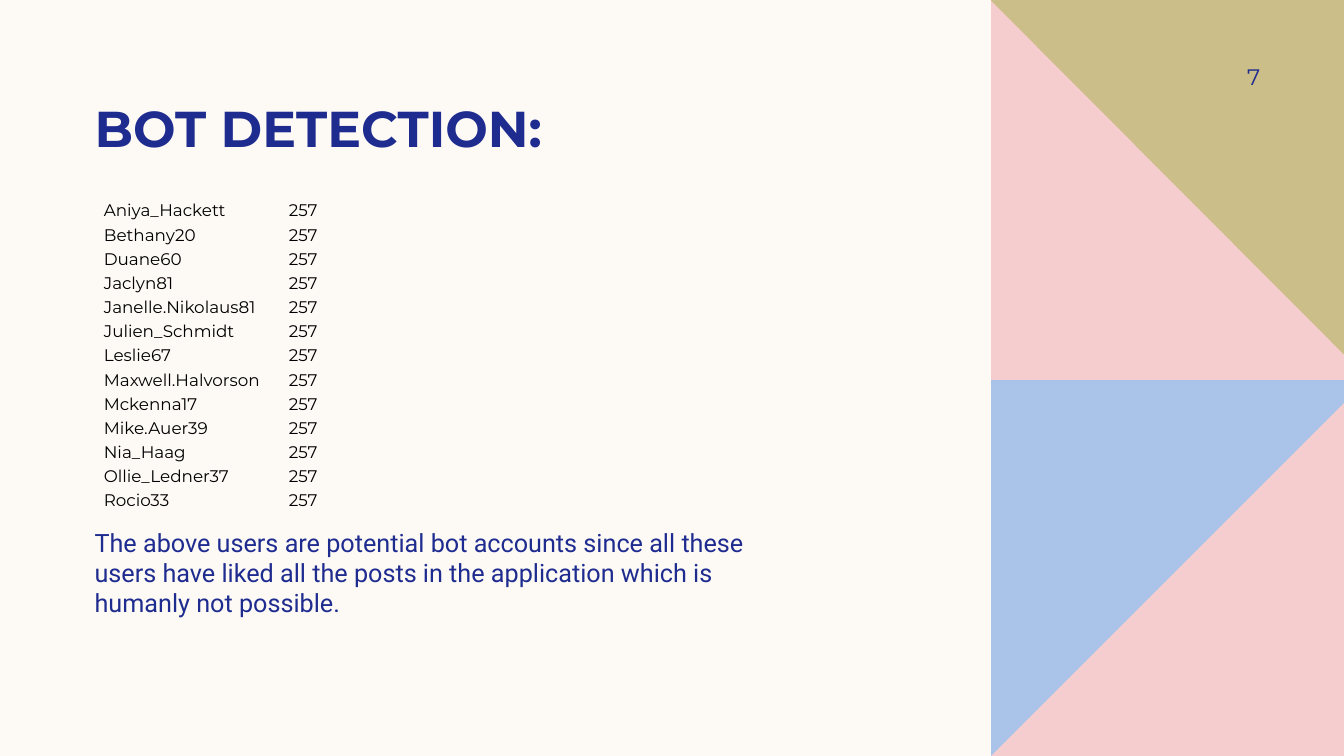
from pptx import Presentation, util as u
from pptx.dml.color import RGBColor
from pptx.enum import text

USERS = [
    "Aniya_Hackett", "Bethany20", "Duane60", "Jaclyn81", "Janelle.Nikolaus81",
    "Julien_Schmidt", "Leslie67", "Maxwell.Halvorson", "Mckenna17",
    "Mike.Auer39", "Nia_Haag", "Ollie_Ledner37", "Rocio33",
]
LIKES = "257"
NAVY, BLACK, CREAM = "1F2C8F", "000000", "FDFAF6"
BLUE, PINK, OLIVE = "AAC3E8", "F5CDCE", "CCBE89"
NO_GRID = "{2D5ABB26-0587-4C30-8999-92F81FD0307C}"
WIDE, HIGH = 13.33, 7.5
SIDE = 9.83  # left edge of the coloured panel


def color(code):
    return RGBColor.from_string(code)


class Deck:
    font = "Montserrat"
    ink = NAVY

    def __init__(self):
        self.prs = Presentation()
        self.prs.slide_width = u.Inches(WIDE)
        self.prs.slide_height = u.Inches(HIGH)

    def page(self, back):
        self.slide = self.prs.slides.add_slide(self.prs.slide_layouts[6])
        fill = self.slide.background.fill
        fill.solid()
        fill.fore_color.rgb = color(back)

    def shape(self, points, code):
        """Draw a filled polygon through points given in inches."""
        spots = [(u.Inches(x), u.Inches(y)) for x, y in points]
        pen = self.slide.shapes.build_freeform(*spots[0])
        pen.add_line_segments(spots[1:], close=True)
        form = pen.convert_to_shape()
        form.shadow.inherit = False
        form.fill.solid()
        form.fill.fore_color.rgb = color(code)
        form.line.fill.background()

    def add_text(self, para, words, size, ink=None, font=None, bold=False):
        run = para.add_run()
        run.text = words
        run.font.size = u.Pt(size)
        run.font.name = font or self.font
        run.font.bold = bold
        run.font.color.rgb = color(ink or self.ink)

    def label(self, box, words, size, anchor="TOP", align="LEFT",
              inset=(0.1, 0.05, 0.1, 0.05), **style):
        area = self.slide.shapes.add_textbox(*map(u.Inches, box))
        frame = area.text_frame
        frame.word_wrap = True
        frame.vertical_anchor = text.MSO_ANCHOR[anchor]
        (frame.margin_left, frame.margin_top,
         frame.margin_right, frame.margin_bottom) = map(u.Inches, inset)
        para = frame.paragraphs[0]
        para.alignment = text.PP_ALIGN[align]
        self.add_text(para, words, size, **style)

    def table(self, box, rows, size, ink):
        frame = self.slide.shapes.add_table(
            len(rows), len(rows[0]), *map(u.Inches, box))
        grid = frame.table
        grid.first_row = grid.horz_banding = False
        grid._tbl.tblPr.find("{*}tableStyleId").text = NO_GRID
        for r, row in enumerate(rows):
            for c, words in enumerate(row):
                cell = grid.cell(r, c)
                cell.fill.background()
                cell.vertical_anchor = text.MSO_ANCHOR.MIDDLE
                cell.margin_left = cell.margin_right = u.Inches(0.03)
                cell.margin_top = cell.margin_bottom = u.Inches(0.02)
                self.add_text(cell.text_frame.paragraphs[0], words, size, ink)


def main():
    deck = Deck()
    deck.page(CREAM)

    deck.shape([(SIDE, 3.75), (WIDE, 3.75), (WIDE, HIGH), (SIDE, HIGH)], BLUE)
    deck.shape([(WIDE, 4), (WIDE, HIGH), (SIDE, HIGH)], PINK)
    deck.shape([(SIDE, 0), (WIDE, 0), (WIDE, 3.76), (SIDE, 3.76)], OLIVE)
    deck.shape([(SIDE, 0.01), (WIDE, 3.52), (WIDE, 3.77), (SIDE, 3.77)], PINK)

    deck.label((0.84, 0.37, 8.22, 1.19), "BOT DETECTION:", 36,
               anchor="BOTTOM", inset=(0.1, 0, 0.1, 0), bold=True)
    deck.label((11.42, 0.5, 1.08, 0.52), "7", 16, anchor="MIDDLE",
               align="RIGHT", inset=(0.1, 0.05, 0, 0.05))
    deck.table((1, 1.97, 3.67, 3), [(name, LIKES) for name in USERS], 12, BLACK)
    deck.label((0.84, 5.18, 7.3, 0.71),
               "The above users are potential bot accounts since all these "
               "users have liked all the posts in the application which is "
               "humanly not possible.", 18, font="Roboto")

    deck.prs.save("out.pptx")


if __name__ == "__main__":
    main()
